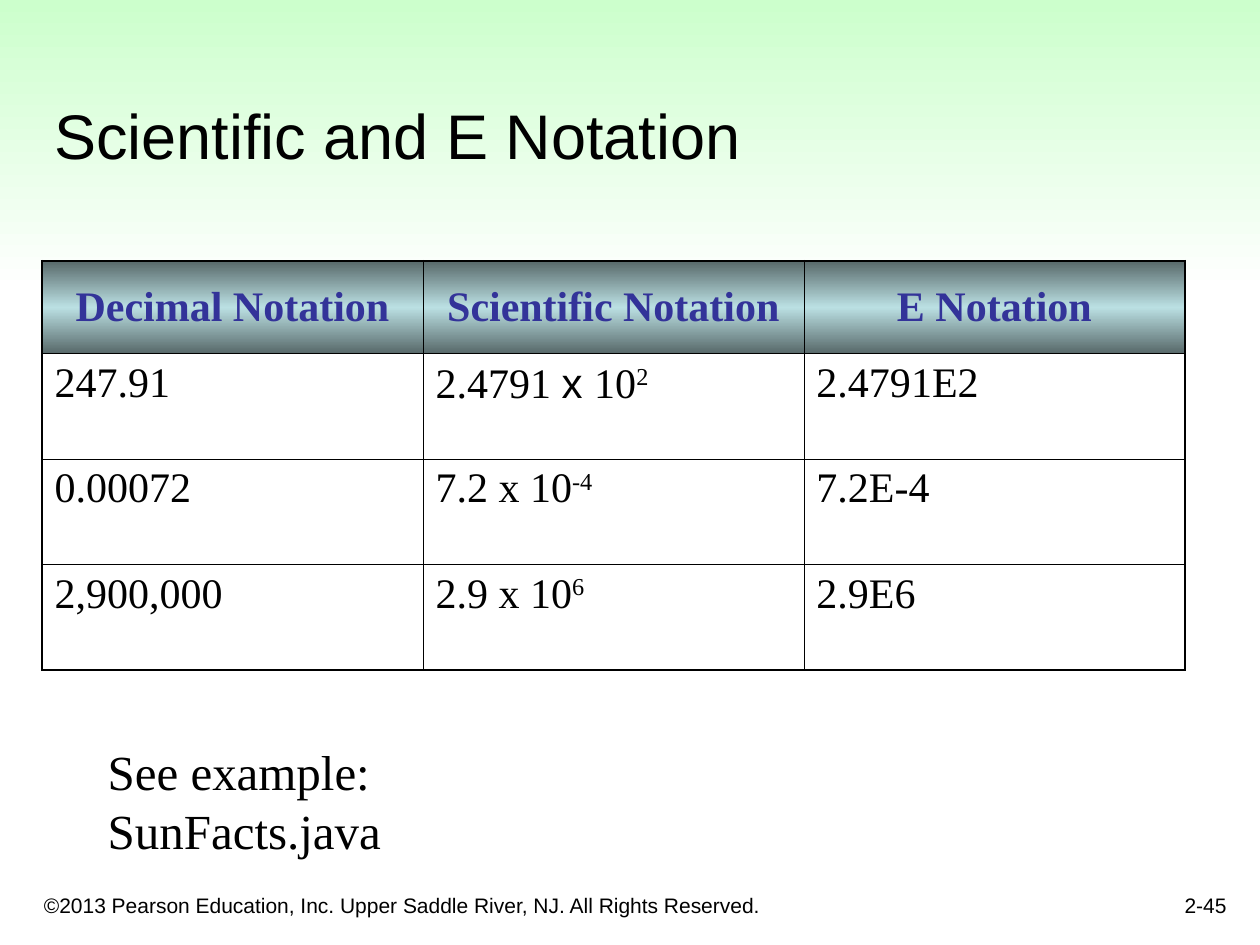
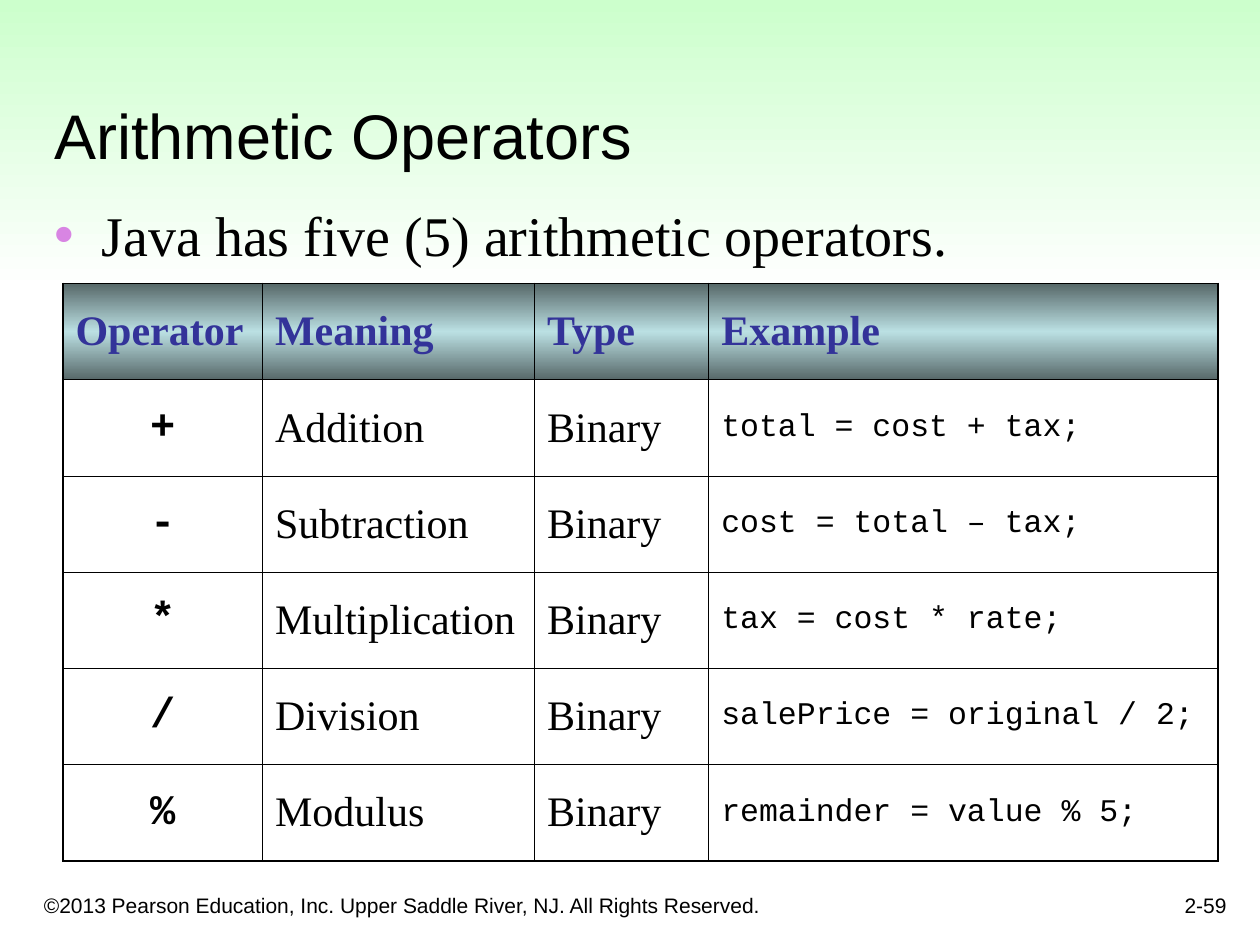
from lxml import etree
from pptx import Presentation
from pptx.dml.color import RGBColor
from pptx.enum import shapes, text
from pptx.oxml import ns
from pptx.util import Pt

ALIGN = {"l": text.PP_ALIGN.LEFT, "c": text.PP_ALIGN.CENTER, "r": text.PP_ALIGN.RIGHT}
ANCHOR = {"t": text.MSO_ANCHOR.TOP, "m": text.MSO_ANCHOR.MIDDLE, "b": text.MSO_ANCHOR.BOTTOM}


def color(code):
    return RGBColor.from_string(code)


def child(parent, tag, **attrs):
    return etree.SubElement(parent, ns.qn(tag), **attrs)


def blend(fill, holder, *codes):
    fill.gradient()
    fill.gradient_angle = 270
    stops = holder.find(".//" + ns.qn("a:gsLst"))
    for stop in list(stops):
        stops.remove(stop)
    for i, code in enumerate(codes):
        stop = child(stops, "a:gs", pos=str(100000 * i // (len(codes) - 1)))
        child(stop, "a:srgbClr", val=code)


def write(frame, words, font="Times New Roman", size=24, ink="000000", bold=False, align="l"):
    para = frame.paragraphs[0]
    para.alignment = ALIGN[align]
    base, mark, power = words.partition("^")
    for part in filter(None, (base, power)):
        run = para.add_run()
        run.text = part
        run.font.name = font
        run.font.size = Pt(size)
        run.font.bold = bold
        run.font.color.rgb = color(ink)
    if mark:
        run.font._element.set("baseline", "30000")


class Deck:
    ink = "000000"
    sans = "Arial"
    code = "Courier New"
    band = ("CCFFCC", "FFFFFF")
    steel = ("576869", "BBE0E3", "576869")
    head = dict(ink="333399", bold=True)
    thick, thin = 1.08, 0.45
    legal = "©2013 Pearson Education, Inc. Upper Saddle River, NJ. All Rights Reserved."

    def __init__(self):
        self.prs = Presentation()
        self.prs.slide_width, self.prs.slide_height = Pt(720), Pt(540)

    def page(self, title, number):
        self.slide = self.prs.slides.add_slide(self.prs.slide_layouts[6])
        band = self.slide.shapes.add_shape(shapes.MSO_SHAPE.RECTANGLE, 0, 0, Pt(720), Pt(167))
        band.shadow.inherit = False
        band.line.fill.background()
        blend(band.fill, band._element, *self.band)
        self.label(18, 498, 438, 30, self.legal, anchor="b", font=self.sans, size=12)
        self.label(558, 492, 150, 36, number, anchor="b", font=self.sans, size=12, align="r")
        self.label(24, 24, 678, 78, title, anchor="b", font=self.sans, size=36)

    def label(self, x, y, w, h, words, anchor="t", wrap=True, **look):
        box = self.slide.shapes.add_textbox(Pt(x), Pt(y), Pt(w), Pt(h))
        frame = box.text_frame
        frame.word_wrap = wrap
        frame.vertical_anchor = ANCHOR[anchor]
        write(frame, words, **look)
        return frame

    def bullet(self, x, y, w, h, words, **look):
        frame = self.label(x, y, w, h, words, **look)
        props = frame.paragraphs[0]._p.get_or_add_pPr()
        props.set("marL", str(Pt(27)))
        props.set("indent", str(-Pt(27)))
        child(child(props, "a:buClr"), "a:srgbClr", val="D885E3")
        child(props, "a:buFont", typeface=self.sans)
        child(props, "a:buChar", char="•")

    def edge(self, cell, outer):
        props = cell._tc.get_or_add_tcPr()
        for i, side in enumerate("LRTB"):
            width = self.thick if outer[i] else self.thin
            line = child(props, "a:ln" + side, w=str(Pt(width)))
            child(child(line, "a:solidFill"), "a:srgbClr", val=self.ink)
            props.insert(i, line)

    def table(self, x, y, widths, heights, rows, head, looks, anchor):
        high, wide = len(rows), len(widths)
        table = self.slide.shapes.add_table(
            high, wide, Pt(x), Pt(y), Pt(sum(widths)), Pt(sum(heights))).table
        table.first_row = table.horz_banding = False
        for col, width in zip(table.columns, widths):
            col.width = Pt(width)
        for r, row in enumerate(rows):
            table.rows[r].height = Pt(heights[r])
            for c, words in enumerate(row):
                cell = table.cell(r, c)
                cell.vertical_anchor = ANCHOR[anchor if r else "m"]
                if r:
                    cell.fill.background()
                else:
                    blend(cell.fill, cell._tc, *self.steel)
                self.edge(cell, (c == 0, c == wide - 1, r == 0, r == high - 1))
                write(cell.text_frame, words, **(looks[c] if r else head))
        return table


def main():
    deck = Deck()

    deck.page("Scientific and E Notation", "2-45")
    forms = deck.table(
        24, 149, [217.7] * 3, [53.2] + [60.25] * 3,
        [("Decimal Notation", "Scientific Notation", "E Notation"),
         ("247.91", "2.4791 ", "2.4791E2"),
         ("0.00072", "7.2 x 10^-4", "7.2E-4"),
         ("2,900,000", "2.9 x 10^6", "2.9E6")],
        dict(deck.head, align="c"), [{}] * 3, "t")
    power = forms.cell(1, 1).text_frame
    write(power, "x ", font=deck.sans)
    write(power, "10^2")
    deck.label(54.5, 420, 327, 41, "See example: SunFacts.java", wrap=False, size=28)

    deck.page("Arithmetic Operators", "2-59")
    deck.bullet(24, 111, 653, 45, "Java has five (5) arithmetic operators.", size=32)
    signs = [
        ("+", "Addition", "total = cost + tax;"),
        ("-", "Subtraction", "cost = total – tax;"),
        ("*", "Multiplication", "tax = cost * rate;"),
        ("/", "Division", "salePrice = original / 2;"),
        ("%", "Modulus", "remainder = value % 5;"),
    ]
    rows = [("Operator", "Meaning", "Type", "Example")]
    rows += [(sign, name, "Binary", line) for sign, name, line in signs]
    looks = [dict(font=deck.code, bold=True, align="c"), {}, {}, dict(font=deck.code, size=18)]
    deck.table(36, 162, [114, 155.5, 99.5, 291], [55] * len(rows), rows, deck.head, looks, "m")

    deck.prs.save("out.pptx")


if __name__ == "__main__":
    main()
